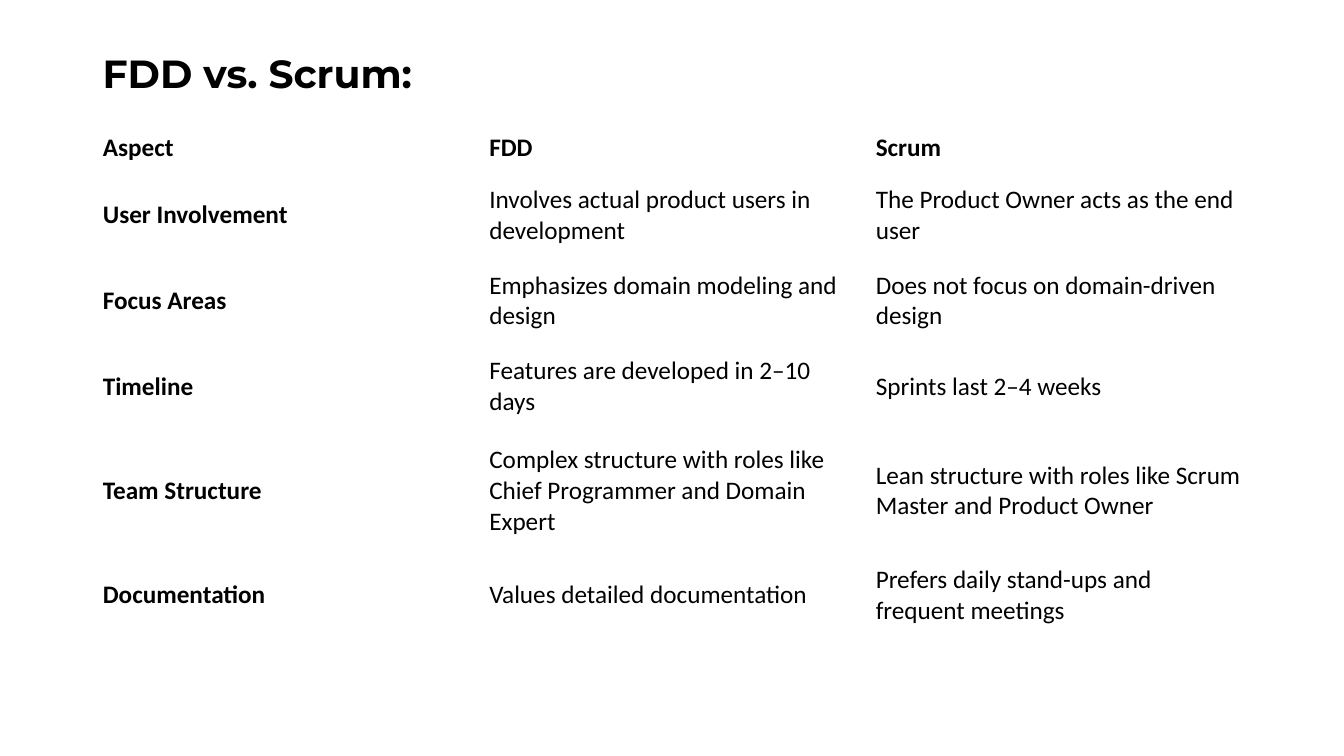
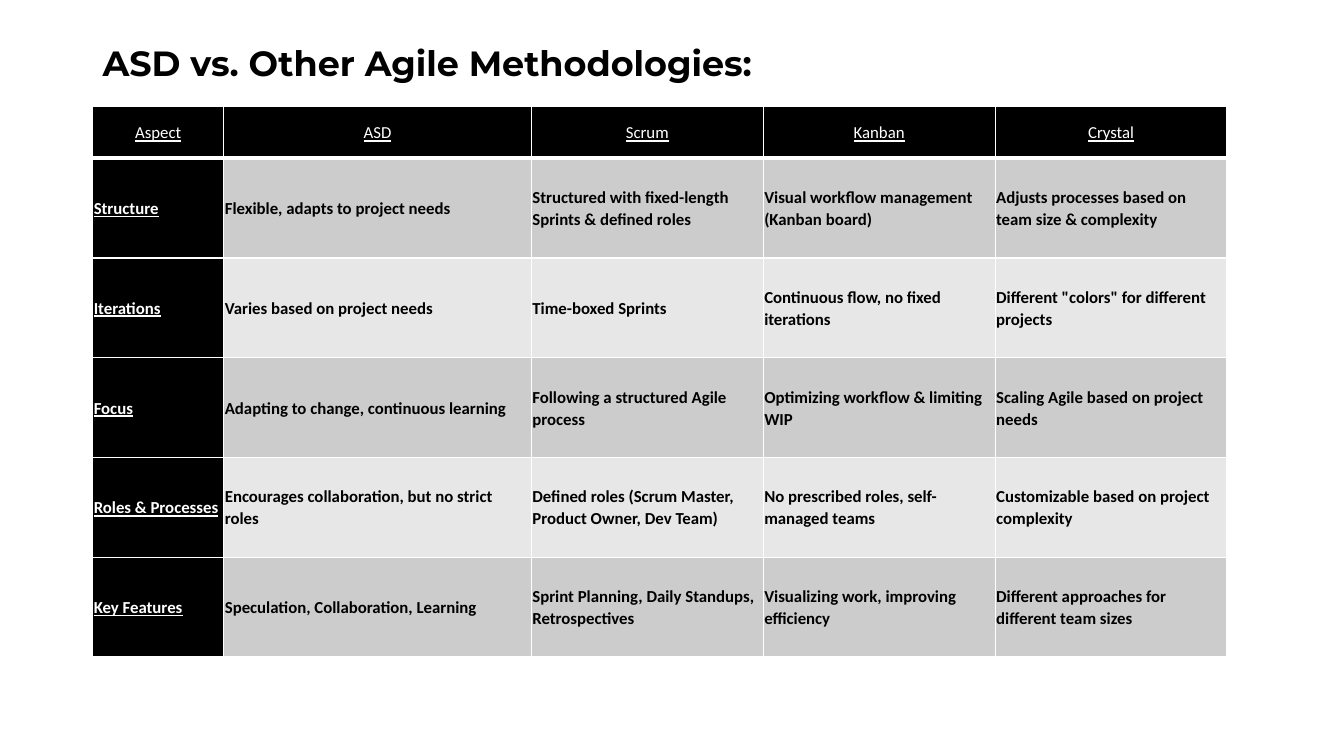
import pptx
import pptx.dml.color
import pptx.enum.text
import pptx.oxml
import pptx.oxml.ns
import pptx.util
from pptx.util import Inches, Pt

RGB = pptx.dml.color.RGBColor
ALIGN = pptx.enum.text.PP_ALIGN
MIDDLE = pptx.enum.text.MSO_ANCHOR.MIDDLE

BLACK = RGB(0x00, 0x00, 0x00)
WHITE = RGB(0xFF, 0xFF, 0xFF)
BANDS = (RGB(0xCC, 0xCC, 0xCC), RGB(0xE7, 0xE7, 0xE7))
TITLE_FONT, BODY_FONT = "Montserrat", "Calibri"
LEFT, TITLE_TOP, CONTENT_WIDTH = 0.92, 0.4, 11.5

FDD_ROWS = [
    ("Aspect", "FDD", "Scrum"),
    ("User Involvement", "Involves actual product users in development",
     "The Product Owner acts as the end user"),
    ("Focus Areas", "Emphasizes domain modeling and design",
     "Does not focus on domain-driven design"),
    ("Timeline", "Features are developed in 2–10 days", "Sprints last 2–4 weeks"),
    ("Team Structure", "Complex structure with roles like Chief Programmer and Domain Expert",
     "Lean structure with roles like Scrum Master and Product Owner"),
    ("Documentation", "Values detailed documentation",
     "Prefers daily stand-ups and frequent meetings"),
]
FDD_HEIGHTS = [0.49, 0.85, 0.85, 0.85, 1.22, 0.85]

ASD_ROWS = [
    ("Aspect", "ASD", "Scrum", "Kanban", "Crystal"),
    ("Structure", "Flexible, adapts to project needs",
     "Structured with fixed-length Sprints & defined roles",
     "Visual workflow management (Kanban board)",
     "Adjusts processes based on team size & complexity"),
    ("Iterations", "Varies based on project needs", "Time-boxed Sprints",
     "Continuous flow, no fixed iterations", 'Different "colors" for different projects'),
    ("Focus", "Adapting to change, continuous learning",
     "Following a structured Agile process", "Optimizing workflow & limiting WIP",
     "Scaling Agile based on project needs"),
    ("Roles & Processes", "Encourages collaboration, but no strict roles",
     "Defined roles (Scrum Master, Product Owner, Dev Team)",
     "No prescribed roles, self-managed teams", "Customizable based on project complexity"),
    ("Key Features", "Speculation, Collaboration, Learning",
     "Sprint Planning, Daily Standups, Retrospectives",
     "Visualizing work, improving efficiency", "Different approaches for different team sizes"),
]
ASD_WIDTHS = [1.3, 3.05, 2.3, 2.3, 2.3]
ASD_HEIGHTS = [0.51] + [0.99] * 5


def set_font(p, name, size, color, bold):
    p.font.name = name
    p.font.size = Pt(size)
    p.font.color.rgb = color
    p.font.bold = bold


def add_titled_slide(prs, title, size, height):
    s = prs.slides.add_slide(prs.slide_layouts[6])
    box = s.shapes.add_textbox(Inches(LEFT), Inches(TITLE_TOP),
                               Inches(CONTENT_WIDTH), Inches(height))
    tf = box.text_frame
    tf.word_wrap = True
    tf.vertical_anchor = MIDDLE
    p = tf.paragraphs[0]
    p.text = title
    p.line_spacing = 0.9
    set_font(p, TITLE_FONT, size, BLACK, True)
    return s


def add_table(s, rows, top, widths, heights, style_cell):
    """Fill a table; style_cell(cell, paragraph, row, column) gives its look."""
    table = s.shapes.add_table(len(rows), len(widths), Inches(LEFT), Inches(top),
                               Inches(sum(widths)), Inches(sum(heights))).table
    table.first_row = table.horz_banding = False
    for column, width in zip(table.columns, widths):
        column.width = Inches(width)
    for i, (row, height) in enumerate(zip(rows, heights)):
        table.rows[i].height = Inches(height)
        for j, text in enumerate(row):
            cell = table.cell(i, j)
            cell.vertical_anchor = MIDDLE
            p = cell.text_frame.paragraphs[0]
            p.text = text
            style_cell(cell, p, i, j)


def add_borders(cell, top, bottom):
    tc_pr = cell._tc.get_or_add_tcPr()
    for side, width in (("L", 1), ("R", 1), ("T", top), ("B", bottom)):
        tc_pr.append(pptx.oxml.parse_xml(
            f'<a:ln{side} {pptx.oxml.ns.nsdecls("a")} w="{Pt(width)}">'
            f'<a:solidFill><a:srgbClr val="{WHITE}"/></a:solidFill></a:ln{side}>'))


def style_plain(cell, p, i, j):
    cell.fill.background()
    set_font(p, BODY_FONT, 18, BLACK, i == 0 or j == 0)


def style_banded(cell, p, i, j):
    heading = i == 0 or j == 0
    cell.margin_left = cell.margin_right = Inches(0.01)
    cell.margin_top = cell.margin_bottom = Inches(0.01)
    add_borders(cell, top=3 if i == 1 else 1, bottom=3 if i == 0 else 1)
    cell.fill.solid()
    cell.fill.fore_color.rgb = BLACK if heading else BANDS[(i - 1) % 2]
    p.alignment = ALIGN.CENTER if i == 0 else ALIGN.LEFT
    p.line_spacing = 1.07
    p.space_after = Pt(8)
    set_font(p, BODY_FONT, 12, WHITE if heading else BLACK, i > 0)
    p.font.underline = heading


def main():
    prs = pptx.Presentation()
    prs.slide_width, prs.slide_height = Inches(13.33), Inches(7.5)

    s = add_titled_slide(prs, "FDD vs. Scrum:", 28, 0.71)
    add_table(s, FDD_ROWS, 1.22, [CONTENT_WIDTH / 3] * 3, FDD_HEIGHTS, style_plain)

    s = add_titled_slide(prs, "ASD vs. Other Agile Methodologies:", 25, 0.5)
    add_table(s, ASD_ROWS, 1.06, ASD_WIDTHS, ASD_HEIGHTS, style_banded)

    prs.save("out.pptx")


if __name__ == "__main__":
    main()
